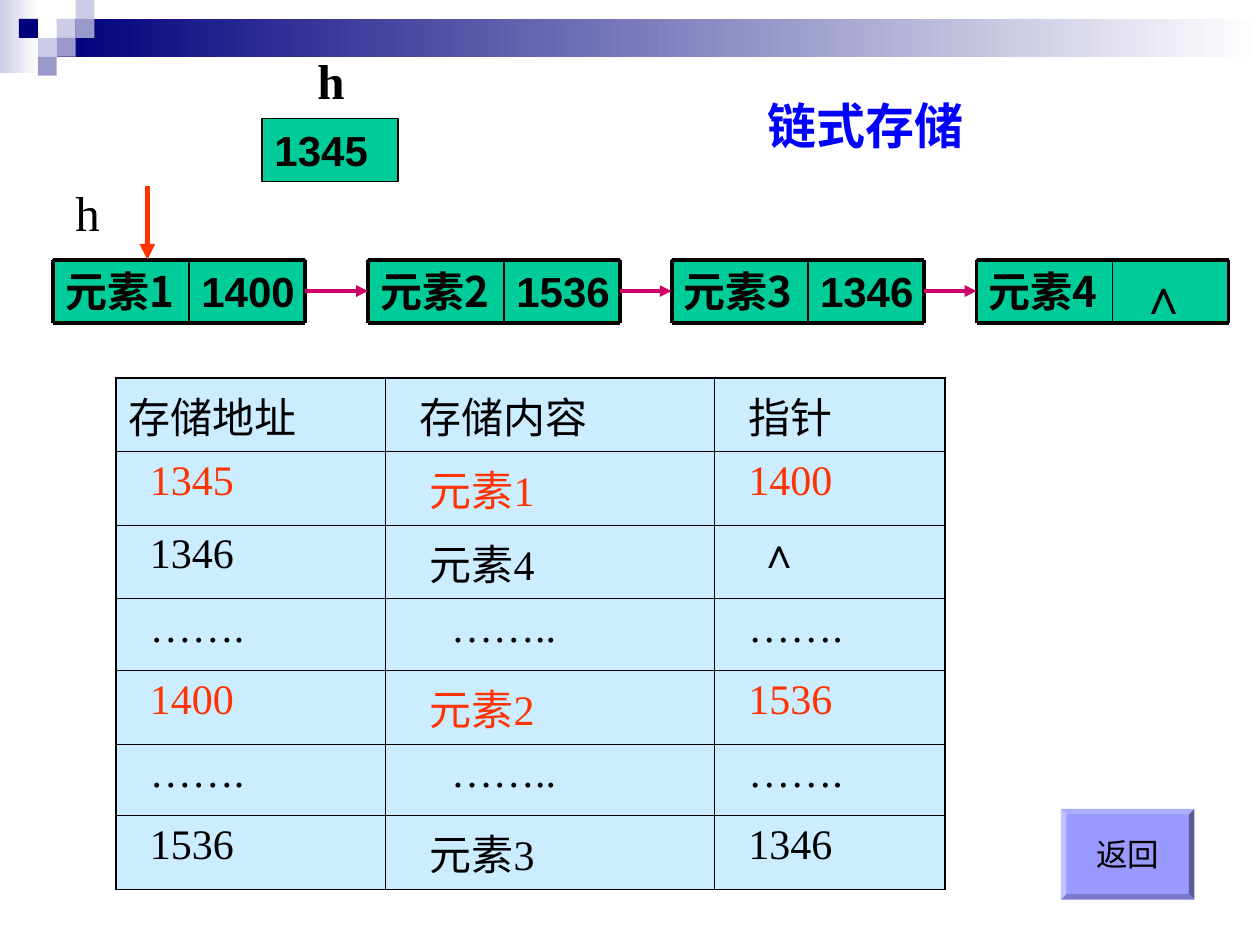
from dataclasses import dataclass

from lxml.etree import SubElement
from pptx import Presentation
from pptx.dml.color import RGBColor as RGB
from pptx.enum.shapes import MSO_CONNECTOR as LINE, MSO_SHAPE as SHAPE
from pptx.enum.text import MSO_ANCHOR as ANCHOR, MSO_AUTO_SIZE as AUTO, PP_ALIGN as ALIGN
from pptx.oxml.ns import qn
from pptx.util import Inches, Pt


@dataclass(frozen=True)
class Theme:
    """Colours, fonts and type sizes of the slide."""
    ink: str = "000000"
    title: str = "0000FF"
    mark: str = "FF3300"
    link: str = "CC0066"
    node: str = "00CC99"
    table: str = "CCECFF"
    button: str = "9999FF"
    navy: str = "00007D"
    pale: str = "CCCCE6"
    mid: str = "9999CC"
    white: str = "FFFFFF"
    serif: str = "Times New Roman"
    sans: str = "Arial"
    cjk: str = "Noto Sans CJK SC"
    large: int = 28
    body: int = 24
    small: int = 18


T = Theme()


def write(tf, text, *, size=T.body, font=T.serif, color=T.ink, bold=False, align=ALIGN.LEFT):
    """Put one formatted line of text into a text frame."""
    p = tf.paragraphs[0]
    p.alignment = align
    r = p.add_run()
    r.text = text
    f = r.font
    f.size, f.name, f.bold = Pt(size), font, bold
    f.color.rgb = RGB.from_string(color)
    SubElement(f._element, qn("a:ea"), typeface=T.cjk)


class Painter:
    """Draws each kind of element on the current slide in one theme."""

    def __init__(self, slide):
        """Keep the slide to draw on."""
        self.s = slide

    def frame(self, tf, indent=0, anchor=ANCHOR.TOP):
        """Set the insets and wrapping of a text frame."""
        tf.auto_size = AUTO.NONE
        tf.word_wrap = False
        tf.vertical_anchor = anchor
        tf.margin_left, tf.margin_right = Inches(0.1 + indent), Inches(0.1)
        tf.margin_top = tf.margin_bottom = Inches(0.05)
        return tf

    def title(self, text, x, y, w, h):
        """Place and format the title placeholder."""
        sp = self.s.shapes.title
        sp.left, sp.top, sp.width, sp.height = map(Inches, (x, y, w, h))
        write(self.frame(sp.text_frame, indent=0.07), text, size=T.large, color=T.title, bold=True)

    def text(self, text, x, y, w, h, **style):
        """Add a text box."""
        sp = self.s.shapes.add_textbox(*map(Inches, (x, y, w, h)))
        write(self.frame(sp.text_frame), text, **style)

    def shape(self, x, y, w, h, fill, fade=None, line=None, kind=SHAPE.RECTANGLE):
        """Add a flat shape, fading to a second colour if one is given."""
        sp = self.s.shapes.add_shape(kind, *map(Inches, (x, y, w, h)))
        sp.shadow.inherit = False
        if fade:
            sp.fill.gradient()
            sp.fill.gradient_angle = 0
            for stop, color in zip(sp.fill.gradient_stops, (fill, fade)):
                stop.color.rgb = RGB.from_string(color)
        else:
            sp.fill.solid()
            sp.fill.fore_color.rgb = RGB.from_string(fill)
        if line:
            sp.line.color.rgb = RGB.from_string(line)
            sp.line.width = Pt(0.75)
        else:
            sp.line.fill.background()
        return sp

    def box(self, text, x, y, w, h, indent=0, **style):
        """Add an outlined storage cell with bold text."""
        sp = self.shape(x, y, w, h, T.node, line=T.ink)
        write(self.frame(sp.text_frame, indent), text, bold=True, **style)
        return sp

    def line(self, x1, y1, x2, y2, color=T.ink, width=2.25, arrow=False):
        """Add a straight line, with an arrowhead at its end on request."""
        c = self.s.shapes.add_connector(LINE.STRAIGHT, *map(Inches, (x1, y1, x2, y2)))
        c.line.color.rgb = RGB.from_string(color)
        c.line.width = Pt(width)
        if arrow:
            SubElement(c.line._get_or_add_ln(), qn("a:tailEnd"), type="triangle")
        SubElement(c._element.spPr, qn("a:effectLst"))
        return c

    def node(self, x, y, label, pointer, **style):
        """Add a list node and return its data and pointer cells."""
        split, right, bottom = x + 1.08, x + 2, y + 0.5
        link = self.box(pointer, split, y, 0.92, 0.5, **style)
        data = self.box(label, x, y, 1.08, 0.5, font=T.cjk)
        for edge in (y, bottom):
            self.line(x, edge, right, edge)
        for edge, width in ((x, 2.25), (split, 1), (right, 2.25)):
            self.line(edge, y, edge, bottom, width=width)
        return data, link

    def link(self, start, end):
        """Join a pointer cell to the next data cell."""
        c = self.line(0, 0, 1, 1, color=T.link, arrow=True)
        c.begin_connect(start, 3)
        c.end_connect(end, 1)

    def border(self, cell, widths):
        """Draw the four borders of a table cell."""
        tc_pr = cell._tc.get_or_add_tcPr()
        for side, width in zip("LRTB", widths):
            ln = SubElement(tc_pr, qn(f"a:ln{side}"), w=str(Pt(width)))
            SubElement(SubElement(ln, qn("a:solidFill")), qn("a:srgbClr"), val=T.ink)

    def table(self, x, y, cols, row_h, rows, marked):
        """Add the storage table, with the marked rows highlighted."""
        n, m = len(rows), len(cols)
        tbl = self.s.shapes.add_table(
            n, m, *map(Inches, (x, y, sum(cols), row_h * n))).table
        tbl.first_row = tbl.horz_banding = False
        for col, w in zip(tbl.columns, cols):
            col.width = Inches(w)
        for i, row in enumerate(rows):
            tbl.rows[i].height = Inches(row_h)
            for j, (text, indent) in enumerate(row):
                cell = tbl.cell(i, j)
                outer = (j == 0, j == m - 1, i == 0, i == n - 1)
                self.border(cell, [1.08 if o else 0.45 for o in outer])
                cell.fill.solid()
                cell.fill.fore_color.rgb = RGB.from_string(T.table)
                cell.margin_left = Inches(0.1 + indent)
                write(cell.text_frame, text, color=T.mark if i in marked else T.ink)

    def button(self, text, x, y, w, h):
        """Add a bevelled button."""
        sp = self.shape(x, y, w, h, T.button, kind=SHAPE.BEVEL)
        sp.adjustments[0] = 0.06
        write(self.frame(sp.text_frame, anchor=ANCHOR.MIDDLE), text,
              size=T.small, font=T.sans, align=ALIGN.CENTER)

    def banner(self):
        """Draw the fading bar and the checkered corner."""
        self.shape(0, 0, 0.31, 0.58, T.pale, fade=T.white)
        self.shape(0.45, 0.15, 9.55, 0.3, T.navy, fade=T.white)
        tiles = ((3, 1, T.pale), (4, 0, T.pale), (4, 1, T.mid), (2, 2, T.pale),
                 (1, 1, T.navy), (3, 2, T.mid), (2, 3, T.mid))
        for col, row, color in tiles:
            self.shape(0.15 * col, 0.15 * row, 0.15, 0.15, color)


def main():
    """Build the linked storage slide."""
    prs = Presentation()
    prs.slide_width, prs.slide_height = Inches(10), Inches(7.5)
    d = Painter(prs.slides.add_slide(prs.slide_layouts[5]))
    d.banner()
    d.title("链式存储", 5.92, 0.71, 1.89, 0.57)
    d.text("h", 2.42, 0.35, 0.42, 0.57, size=T.large, bold=True)
    d.box("1345", 2.08, 0.94, 1.08, 0.5, font=T.sans)

    pointers = ((0.42, "1400"), (2.92, "1536"), (5.33, "1346"))
    nodes = [d.node(x, 2.06, f"元素{i}", value, font=T.sans)
             for i, (x, value) in enumerate(pointers, 1)]
    nodes.append(d.node(7.75, 2.06, "元素4", "∧", font=T.sans, size=T.large, indent=0.11))
    for (_, start), (end, _) in zip(nodes, nodes[1:]):
        d.link(start, end)
    d.text("h", 0.5, 1.4, 0.39, 0.57, size=T.large)
    d.line(1.17, 1.48, 1.17, 2.06, color=T.mark, width=3, arrow=True)

    near, mid, far = 0.17, 0.25, 0.42
    gap = (("…….", near), ("……..", far), ("…….", near))
    rows = (
        (("存储地址", 0), ("存储内容", near), ("指针", near)),
        (("1345", near), ("元素1", mid), ("1400", near)),
        (("1346", near), ("元素4", mid), ("∧", mid)),
        gap,
        (("1400", near), ("元素2", mid), ("1536", near)),
        gap,
        (("1536", near), ("元素3", mid), ("1346", near)),
    )
    d.table(0.92, 3, (2.14, 2.61, 1.83), 0.57, rows, marked=(1, 4))
    d.button("返回", 8.42, 6.42, 1.06, 0.72)
    prs.save("out.pptx")


if __name__ == "__main__":
    main()
